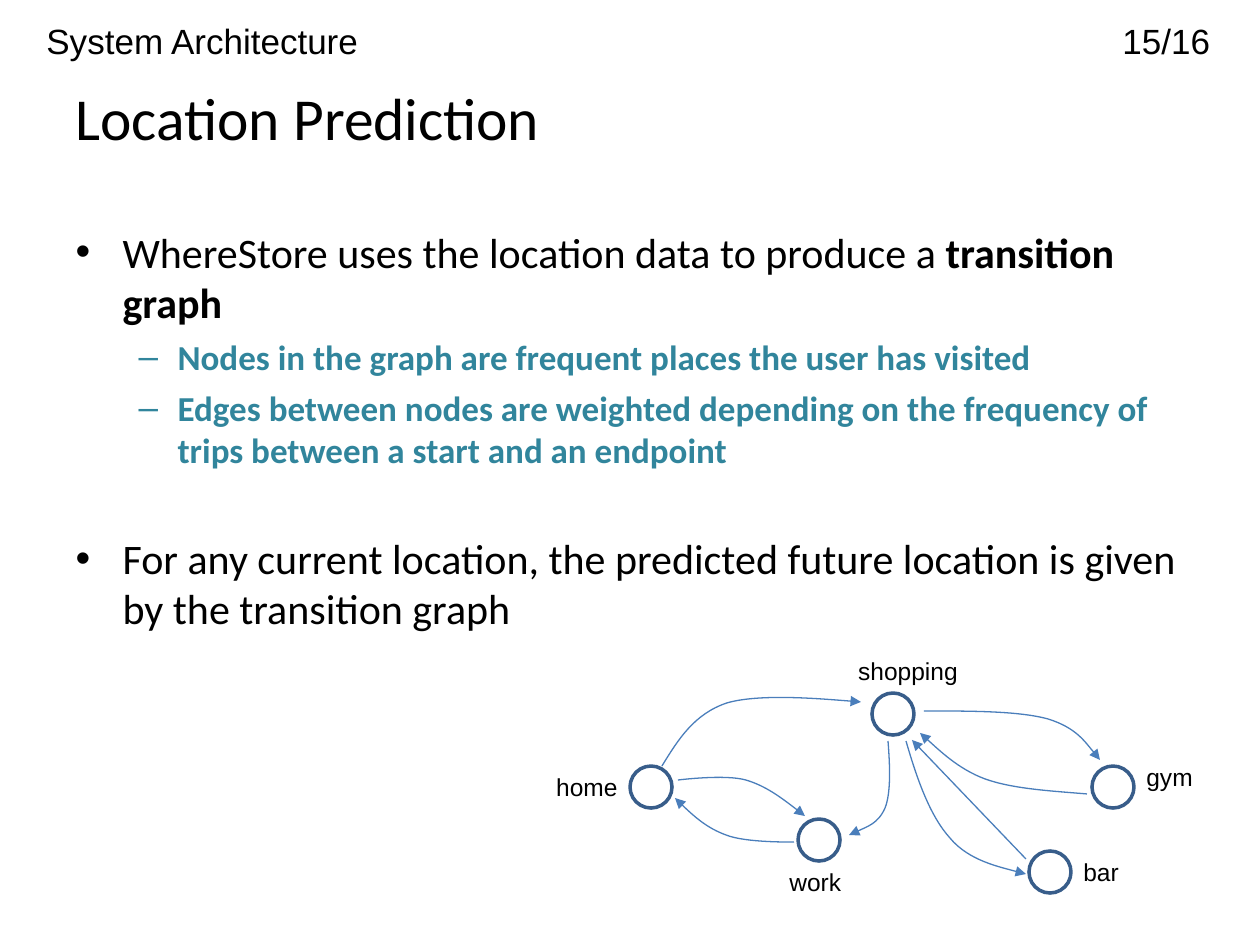
"""Build the Location Prediction slide with its transition graph."""
from dataclasses import dataclass

from lxml import etree
from pptx import Presentation
from pptx.dml.color import RGBColor
from pptx.enum.shapes import MSO_CONNECTOR, MSO_SHAPE
from pptx.enum.text import MSO_ANCHOR, MSO_AUTO_SIZE, PP_ALIGN
from pptx.oxml.ns import qn
from pptx.util import Emu, Pt

LEFT, CENTER, RIGHT = PP_ALIGN.LEFT, PP_ALIGN.CENTER, PP_ALIGN.RIGHT
TOP, MIDDLE = MSO_ANCHOR.TOP, MSO_ANCHOR.MIDDLE
NO_AUTOFIT = MSO_AUTO_SIZE.NONE
OVAL, STRAIGHT = MSO_SHAPE.OVAL, MSO_CONNECTOR.STRAIGHT

EMU_PER_PX = 914400 / 126
NODE_SIZE = 42
BLACK, TEAL, NODE_BLUE, EDGE_BLUE = "000000", "31859C", "385D8A", "4A7EBB"


@dataclass(frozen=True)
class Label:
    text: str
    box: tuple[int, int, int, int]
    size: int = 14
    align: PP_ALIGN = LEFT
    anchor: MSO_ANCHOR = TOP


@dataclass(frozen=True)
class BulletStyle:
    level: int
    char: str
    color: str
    size: int
    margin: int
    hanging: int


@dataclass(frozen=True)
class Point:
    style: BulletStyle
    runs: tuple[tuple[str, bool], ...]
    space_before: float


MAIN = BulletStyle(0, "•", BLACK, 24, 47, 47)
DETAIL = BulletStyle(1, "–", TEAL, 20, 102, 39)

POINTS = (
    Point(MAIN, (("WhereStore uses the location data to produce a ", False),
                 ("transition graph", True)), 0),
    Point(DETAIL, (("Nodes in the graph are frequent places the user has visited", True),), 5),
    Point(DETAIL, (("Edges between nodes are weighted depending on the frequency of "
                    "trips between a start and an endpoint", True),), 5),
    Point(MAIN, (("For any current location, the predicted future location is given "
                  "by the transition graph", False),), 35.4),
)

NODES = ((630, 766), (798, 819), (1029, 851), (1092, 766), (872, 693))

CURVED_TRIPS = (
    ((662, 766), (678, 740), (694, 714), (727, 703), (761, 693), (861, 702), (861, 702)),
    ((794, 842), (794, 842), (746, 843), (726, 835), (707, 828), (690, 813), (675, 798)),
    ((888, 741), (890, 766), (891, 793), (885, 808), (878, 824), (849, 835), (849, 835)),
    ((678, 780), (678, 780), (725, 774), (746, 780), (766, 786), (786, 801), (805, 816)),
    ((906, 741), (917, 779), (930, 816), (950, 838), (969, 861), (1026, 874), (1026, 874)),
    ((924, 711), (971, 711), (1019, 711), (1048, 719), (1077, 728), (1100, 760), (1100, 760)),
    ((1087, 794), (1051, 791), (1013, 789), (985, 779), (958, 769), (920, 733), (920, 733)),
)
BAR_TO_SHOPPING = (1026, 859, 912, 740)

LABELS = (
    Label("work", (777, 861, 116, 43)),
    Label("gym", (1134, 756, 116, 43)),
    Label("shopping", (840, 650, 136, 43), align=CENTER),
    Label("bar", (1071, 851, 116, 43)),
    Label("home", (525, 766, 105, 43), align=RIGHT),
    Label("15/16", (1110, 16, 135, 49), size=20, anchor=MIDDLE),
    Label("System Architecture", (34, 16, 397, 49), size=20, anchor=MIDDLE),
)


def px(length: int) -> Emu:
    return Emu(round(length * EMU_PER_PX))


def rgb(color: str) -> RGBColor:
    return RGBColor.from_string(color)


def place(shape, box: tuple[int, int, int, int]) -> None:
    shape.left, shape.top, shape.width, shape.height = map(px, box)


def add_run(paragraph, text: str, size: int, face: str, color: str, bold: bool = False) -> None:
    run = paragraph.add_run()
    run.text = text
    run.font.size = Pt(size)
    run.font.name = face
    run.font.bold = bold
    run.font.color.rgb = rgb(color)


def set_frame(frame, anchor: MSO_ANCHOR) -> None:
    frame.word_wrap = True
    frame.auto_size = NO_AUTOFIT
    frame.vertical_anchor = anchor


def fill_title(title) -> None:
    place(title, (63, 38, 1134, 157))
    set_frame(title.text_frame, MIDDLE)
    heading = title.text_frame.paragraphs[0]
    heading.alignment = LEFT
    add_run(heading, "Location Prediction", 34, "Calibri", BLACK)


def set_bullet(paragraph, style: BulletStyle) -> None:
    properties = paragraph._p.get_or_add_pPr()
    properties.set("marL", str(px(style.margin)))
    properties.set("indent", str(-px(style.hanging)))
    bullet_color = etree.SubElement(properties, qn("a:buClr"))
    etree.SubElement(bullet_color, qn("a:srgbClr"), val=style.color)
    etree.SubElement(properties, qn("a:buFont"), typeface="Arial")
    etree.SubElement(properties, qn("a:buChar"), char=style.char)


def fill_body(body, points: tuple[Point, ...]) -> None:
    place(body, (63, 220, 1134, 624))
    frame = body.text_frame
    set_frame(frame, TOP)
    for index, point in enumerate(points):
        paragraph = frame.add_paragraph() if index else frame.paragraphs[0]
        style = point.style
        paragraph.level = style.level
        set_bullet(paragraph, style)
        paragraph.space_before = Pt(point.space_before)
        for text, bold in point.runs:
            add_run(paragraph, text, style.size, "Calibri", style.color, bold)


def draw_node(shapes, left: int, top: int) -> None:
    node = shapes.add_shape(OVAL, px(left), px(top), px(NODE_SIZE), px(NODE_SIZE))
    node.shadow.inherit = False
    node.fill.background()
    node.line.color.rgb = rgb(NODE_BLUE)
    node.line.width = Pt(2)


def style_edge(edge) -> None:
    edge.line.color.rgb = rgb(EDGE_BLUE)
    edge.line.width = Pt(0.75)
    etree.SubElement(edge.line._get_or_add_ln(), qn("a:tailEnd"), type="triangle")


def draw_curve(shapes, points: tuple[tuple[int, int], ...]) -> None:
    builder = shapes.build_freeform(*points[0], scale=EMU_PER_PX)
    builder.add_line_segments(points[1:], close=False)
    curve = builder.convert_to_shape()
    curve.shadow.inherit = False
    curve.fill.background()
    segments = list(curve._element.iter(qn("a:lnTo")))
    outline = segments[0].getparent()
    for start in range(0, len(segments), 3):
        bezier = etree.SubElement(outline, qn("a:cubicBezTo"))
        for segment in segments[start:start + 3]:
            bezier.append(segment[0])
            outline.remove(segment)
    style_edge(curve)


def draw_straight(shapes, ends: tuple[int, int, int, int]) -> None:
    edge = shapes.add_connector(STRAIGHT, *map(px, ends))
    style_edge(edge)
    etree.SubElement(edge._element.spPr, qn("a:effectLst"))


def draw_label(shapes, label: Label) -> None:
    box = shapes.add_textbox(*map(px, label.box))
    set_frame(box.text_frame, label.anchor)
    paragraph = box.text_frame.paragraphs[0]
    paragraph.alignment = label.align
    add_run(paragraph, label.text, label.size, "Arial", BLACK)


def main() -> None:
    deck = Presentation()
    deck.slide_width, deck.slide_height = px(1260), px(945)
    slide = deck.slides.add_slide(deck.slide_layouts[1])
    fill_title(slide.shapes.title)
    fill_body(slide.placeholders[1], POINTS)
    for left, top in NODES:
        draw_node(slide.shapes, left, top)
    for trip in CURVED_TRIPS:
        draw_curve(slide.shapes, trip)
    draw_straight(slide.shapes, BAR_TO_SHOPPING)
    for label in LABELS:
        draw_label(slide.shapes, label)
    deck.save("out.pptx")


if __name__ == "__main__":
    main()
